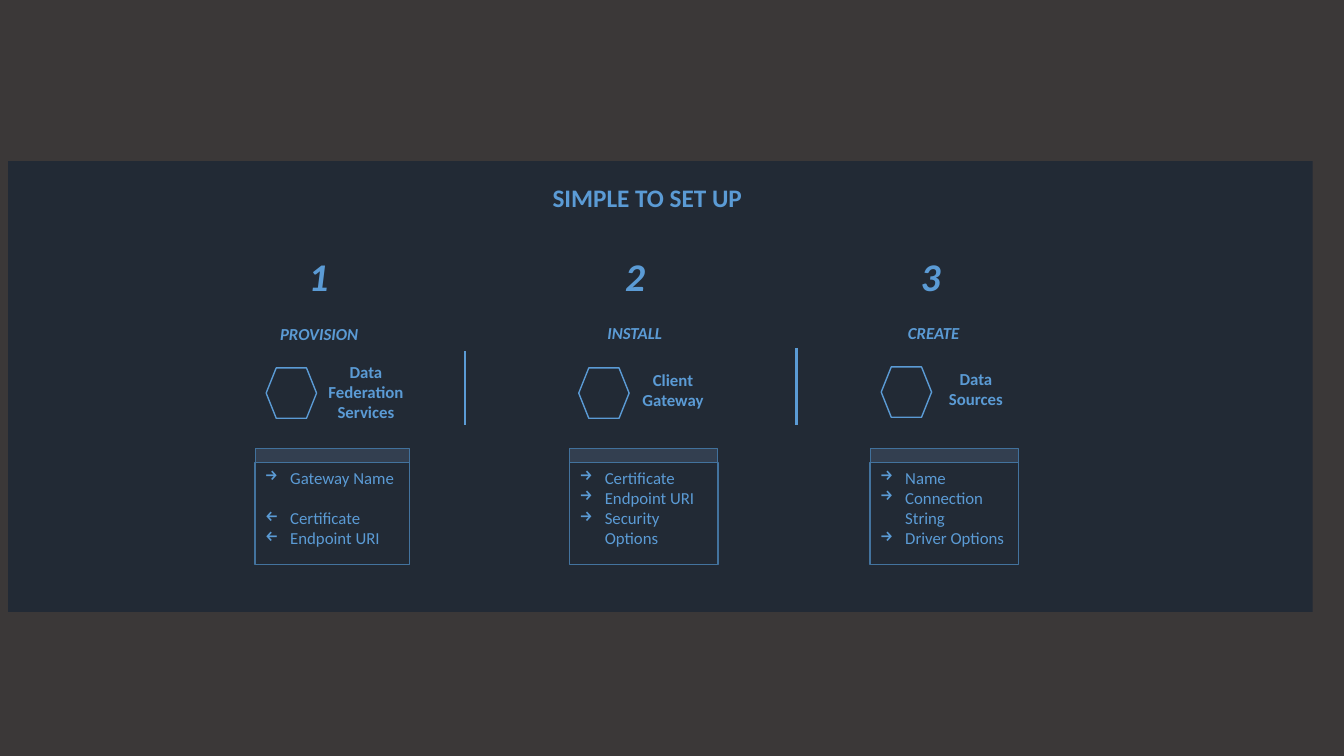
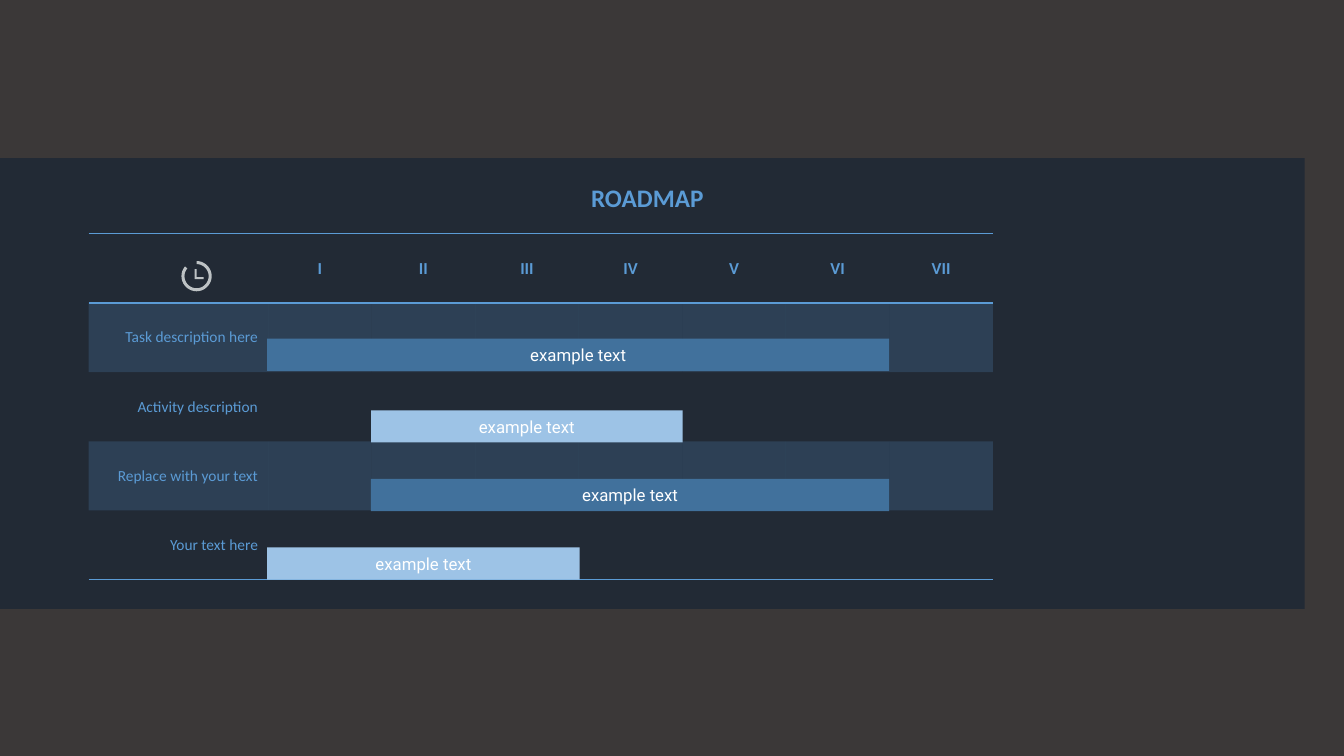
"""Build a three-step setup slide and a roadmap slide."""
from math import cos, radians, sin

from lxml.etree import SubElement
from pptx import Presentation
from pptx.dml.color import RGBColor
from pptx.enum.shapes import MSO_CONNECTOR, MSO_SHAPE
from pptx.enum.text import MSO_ANCHOR, PP_ALIGN
from pptx.oxml import parse_xml
from pptx.oxml.ns import nsdecls, qn
from pptx.util import Inches, Pt

COLORS = {name: RGBColor.from_string(value) for name, value in {
    "page": "3B3838", "band": "222A35", "accent": "5B9BD5", "header": "333F50",
    "header_edge": "41719C", "panel_edge": "43739E", "dark_bar": "41719C",
    "light_bar": "9DC3E6", "white": "FFFFFF", "clock": "BDC2C4"}.items()}


def add_block(slide, box, fill=None, line=None, width=1, kind=MSO_SHAPE.RECTANGLE):
    block = slide.shapes.add_shape(kind, *map(Inches, box))
    block.shadow.inherit = False
    if fill:
        block.fill.solid()
        block.fill.fore_color.rgb = COLORS[fill]
    else:
        block.fill.background()
    if line:
        block.line.color.rgb = COLORS[line]
        block.line.width = Pt(width)
    else:
        block.line.fill.background()
    return block


def write(paragraph, text, size, color="accent", bold=False, italic=False,
          align=PP_ALIGN.CENTER, face="Calibri"):
    paragraph.text = text
    paragraph.alignment = align
    font = paragraph.font
    font.name, font.size, font.bold, font.italic = face, Pt(size), bold, italic
    font.color.rgb = COLORS[color]


prs = Presentation()
prs.slide_width, prs.slide_height = Inches(13.33), Inches(7.5)
prs.slide_master.background.fill.solid()
prs.slide_master.background.fill.fore_color.rgb = COLORS["page"]

slides = []
for title, left, top in (("SIMPLE TO SET UP", 0.08, 1.6), ("ROADMAP", 0, 1.57)):
    slide = prs.slides.add_slide(prs.slide_layouts[6])
    add_block(slide, (left, top, 12.94, 4.47), "band")
    heading = slide.shapes.add_textbox(*map(Inches, (3.95, 1.76, 4.94, 0.4))).text_frame
    heading.word_wrap = True
    write(heading.paragraphs[0], title, 18, bold=True)
    slides.append(slide)
setup, roadmap = slides

steps = [
    ("PROVISION", (2.67, 3.16, 0.99, 0.3), 2.96, (2.64, 3.65),
     "Data\nFederation\nServices", (3.15, 3.54, 0.96, 0.71), 2.53, 1.53,
     [("→", "Gateway Name", 0), ("←", "Certificate", 14.4), ("←", "Endpoint URI", 0)]),
    ("INSTALL", (5.92, 3.15, 0.75, 0.3), 6.1, (5.74, 3.65),
     "Client\nGateway", (6.27, 3.62, 0.81, 0.5), 5.65, 1.47,
     [("→", "Certificate", 0), ("→", "Endpoint URI", 0), ("→", "Security Options", 0)]),
    ("CREATE", (8.9, 3.15, 0.72, 0.3), 9.03, (8.74, 3.64),
     "Data\nSources", (9.31, 3.61, 0.74, 0.5), 8.63, 1.47,
     [("→", "Name", 0), ("→", "Connection String", 0), ("→", "Driver Options", 0)]),
]
for number, (action, action_box, number_left, hexagon, subject, subject_box,
             panel_left, panel_width, items) in enumerate(steps, 1):
    for text, box, size, italic in (
            (str(number), (number_left, 2.45, 0.4, 0.57), 28, True),
            (action, action_box, 12, True), (subject, subject_box, 12, False)):
        label = setup.shapes.add_textbox(*map(Inches, box)).text_frame
        label.word_wrap = False
        write(label.paragraphs[0], text, size, bold=True, italic=italic)
    add_block(setup, (*hexagon, 0.5, 0.5), line="accent",
              kind=MSO_SHAPE.FLOWCHART_PREPARATION)
    add_block(setup, (panel_left, 4.45, panel_width, 0.14), "header", "header_edge", 0.75)
    panel = add_block(setup, (panel_left, 4.59, panel_width, 1.01),
                      line="panel_edge").text_frame
    panel.vertical_anchor = MSO_ANCHOR.TOP
    panel.word_wrap = True
    for index, (arrow, item, gap) in enumerate(items):
        entry = panel.add_paragraph() if index else panel.paragraphs[0]
        write(entry, item, 12, align=PP_ALIGN.LEFT)
        entry.space_before = Pt(gap)
        indents = entry._p.get_or_add_pPr()
        indents.set("marL", str(Inches(0.25)))
        indents.set("indent", str(-Inches(0.25)))
        bullet = parse_xml(f'<a:buChar {nsdecls("a")} char="{arrow}"/>')
        indents.insert_element_before(bullet, "a:tabLst", "a:defRPr", "a:extLst")

for x, top in ((4.61, 3.48), (7.9, 3.45)):
    divider = setup.shapes.add_connector(
        MSO_CONNECTOR.STRAIGHT, *map(Inches, (x, top, x, 4.22)))
    divider.line.color.rgb = COLORS["accent"]
    divider.line.width = Pt(1.5)
    SubElement(divider._element.spPr, qn("a:effectLst"))

periods = ["I", "II", "III", "IV", "V", "VI", "VII"]
tasks = ["Task description here", "Activity description",
         "Replace with your text", "Your text here"]
schedule = roadmap.shapes.add_table(
    5, 8, *map(Inches, (0.88, 2.32, 8.97, 3.43))).table
schedule.first_row = schedule.horz_banding = False
schedule._tbl.tblPr.find(qn("a:tableStyleId")).text = "{2D5ABB26-0587-4C30-8999-92F81FD0307C}"
for index, column in enumerate(schedule.columns):
    column.width = Inches(1.027 if index else 1.78)
for row_index, row in enumerate(schedule.rows):
    row.height = Inches(3.43 / 5)
    for column_index, cell in enumerate(row.cells):
        cell.vertical_anchor = MSO_ANCHOR.MIDDLE
        if row_index == 0 and column_index:
            write(cell.text_frame.paragraphs[0], periods[column_index - 1], 12, bold=True)
        elif row_index and column_index == 0:
            write(cell.text_frame.paragraphs[0], tasks[row_index - 1], 11,
                  align=PP_ALIGN.RIGHT)
        if row_index % 2:
            cell.fill.solid()
            cell.fill.fore_color.rgb = COLORS["accent"]
            tint = cell._tc.tcPr.find(".//" + qn("a:srgbClr"))
            SubElement(tint, qn("a:alpha"), val="20000")
        else:
            cell.fill.background()
        for edge in {0: ("lnB", "lnT"), 4: ("lnB",)}.get(row_index, ()):
            cell._tc.tcPr.insert(0, parse_xml(
                f'<a:{edge} {nsdecls("a")} w="12700"><a:solidFill>'
                f'<a:srgbClr val="{COLORS["accent"]}"/></a:solidFill></a:{edge}>'))

for left, top, width, color in ((2.65, 3.36, 6.17, "dark_bar"), (3.68, 4.07, 3.09, "light_bar"),
                                (3.68, 4.75, 5.14, "dark_bar"), (2.65, 5.43, 3.1, "light_bar")):
    bar = add_block(roadmap, (left, top, width, 0.32), color).text_frame
    bar.vertical_anchor = MSO_ANCHOR.MIDDLE
    write(bar.paragraphs[0], "example text", 12, "white", face="Roboto")

sweep = range(0, 311, 10)
ring = [(1.95 + radius * sin(radians(angle)), 2.74 - radius * cos(radians(angle)))
        for radius, angles in ((0.15, sweep), (0.12, reversed(sweep))) for angle in angles]
hands = [(1.93, 2.67), (1.95, 2.67), (1.95, 2.75), (2.02, 2.75), (2.02, 2.77), (1.93, 2.77)]
ring, hands = [[(Inches(x), Inches(y)) for x, y in outline] for outline in (ring, hands)]
builder = roadmap.shapes.build_freeform(*ring[0])
builder.add_line_segments(ring[1:])
builder.move_to(*hands[0])
builder.add_line_segments(hands[1:])
clock = builder.convert_to_shape()
clock.shadow.inherit = False
clock.fill.solid()
clock.fill.fore_color.rgb = COLORS["clock"]
clock.line.fill.background()

prs.save("out.pptx")
